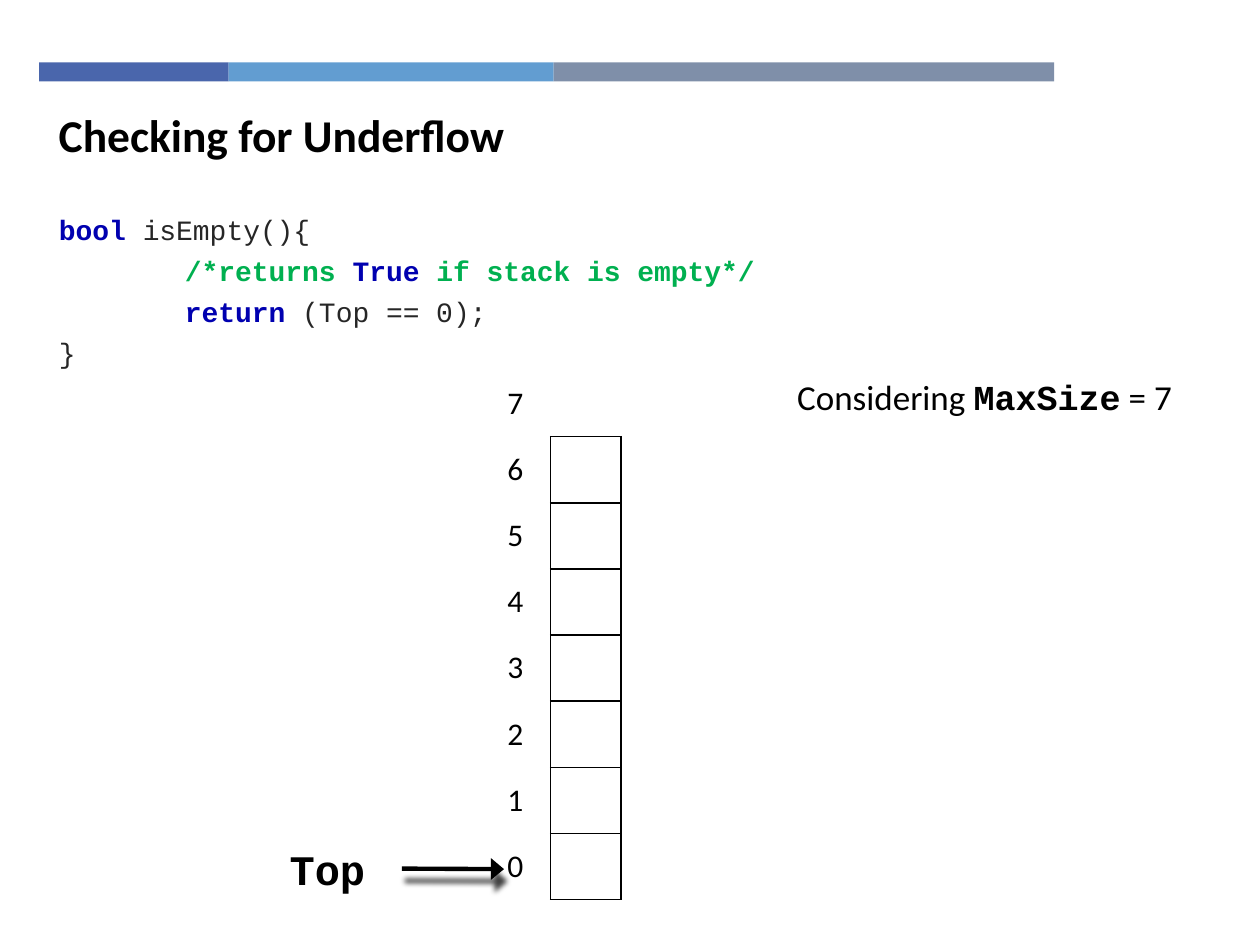
"""Build the stack underflow slide."""
from lxml import etree
from pptx import Presentation
from pptx.dml.color import RGBColor
from pptx.enum.shapes import MSO_CONNECTOR, MSO_SHAPE
from pptx.enum.text import MSO_ANCHOR, PP_ALIGN
from pptx.oxml import parse_xml
from pptx.oxml.ns import nsdecls
from pptx.util import Cm, Pt

BLACK, KEYWORD, COMMENT, CODE = "000000", "0000B0", "00B050", "262626"


def color(hex_code):
    return RGBColor.from_string(hex_code)


def add_run(paragraph, text, size, font="Calibri", hex_code=BLACK, bold=False):
    run = paragraph.add_run()
    run.text = text
    run.font.size = Pt(size)
    run.font.name = font
    run.font.bold = bold
    run.font.color.rgb = color(hex_code)


prs = Presentation()
prs.slide_width, prs.slide_height = Cm(25.4), Cm(19.05)
slide = prs.slides.add_slide(prs.slide_layouts[5])
shapes = slide.shapes

bar_left = 0.79
for width, fill in [(3.82, "4A66AC"), (6.55, "629DD1"), (10.09, "7F8FA9")]:
    bar = shapes.add_shape(MSO_SHAPE.RECTANGLE, Cm(bar_left), Cm(1.26), Cm(width), Cm(0.38))
    bar.shadow.inherit = False
    bar.fill.solid()
    bar.fill.fore_color.rgb = color(fill)
    bar.line.fill.background()
    bar_left += width

title = shapes.title
title.left, title.top, title.width, title.height = Cm(0.93), Cm(2.01), Cm(18.19), Cm(1.4)
title.text_frame.vertical_anchor = MSO_ANCHOR.MIDDLE
heading = title.text_frame.paragraphs[0]
heading.alignment = PP_ALIGN.LEFT
add_run(heading, "Checking for Underflow", 26, bold=True)

code_lines = [
    [("bool ", KEYWORD, True), ("isEmpty(){", CODE, False)],
    [("\t/*returns ", COMMENT, True), ("True ", KEYWORD, True),
     ("if stack is empty*/", COMMENT, True)],
    [("\treturn", KEYWORD, True), (" (Top == 0);", CODE, False)],
    [("}", CODE, False)],
]
code_box = shapes.add_textbox(Cm(0.94), Cm(4.29), Cm(16.74), Cm(4.24)).text_frame
code_box.word_wrap = True
for number, parts in enumerate(code_lines):
    line = code_box.add_paragraph() if number else code_box.paragraphs[0]
    line.alignment = PP_ALIGN.JUSTIFY
    line.line_spacing = 0.8
    line.space_before = line.space_after = Pt(4)
    line._p.get_or_add_pPr().append(
        parse_xml(f'<a:tabLst {nsdecls("a")}><a:tab pos="{Cm(2.54)}" algn="l"/></a:tabLst>'))
    for text, hex_code, bold in parts:
        add_run(line, text, 16, "Courier New", hex_code, bold)

row_count, table_height, column_width = 8, Cm(10.67), Cm(1.42)
frame = shapes.add_table(row_count, 2, Cm(9.68), Cm(7.47), 2 * column_width, table_height)
stack = frame.table
stack.first_row = stack.horz_banding = False
for column in stack.columns:
    column.width = column_width
for row_index, row in enumerate(stack.rows):
    row.height = table_height // row_count
    for column_index, cell in enumerate(row.cells):
        cell.vertical_anchor = MSO_ANCHOR.MIDDLE
        is_slot = column_index == 1 and row_index > 0
        edges = {"L": is_slot, "R": is_slot or (column_index == 0 and row_index > 0),
                 "T": is_slot, "B": column_index == 1}
        for edge, visible in edges.items():
            paint = f'<a:solidFill><a:srgbClr val="{BLACK}"/></a:solidFill>' if visible else "<a:noFill/>"
            cell._tc.get_or_add_tcPr().append(
                parse_xml(f'<a:ln{edge} {nsdecls("a")} w="12700">{paint}</a:ln{edge}>'))
        cell.fill.background()
        if column_index == 0:
            label = cell.text_frame.paragraphs[0]
            label.alignment = PP_ALIGN.CENTER
            add_run(label, str(row_count - 1 - row_index), 18)

top_label = shapes.add_shape(MSO_SHAPE.RECTANGLE, Cm(5.1), Cm(16.97), Cm(3), Cm(1.09))
top_label.shadow.inherit = False
top_label.fill.solid()
top_label.fill.fore_color.rgb = color("FFFFFF")
top_label.line.fill.background()
top_label.text_frame.vertical_anchor = MSO_ANCHOR.MIDDLE
top_text = top_label.text_frame.paragraphs[0]
top_text.alignment = PP_ALIGN.CENTER
add_run(top_text, "Top", 24, "Courier New", bold=True)

arrow = shapes.add_connector(MSO_CONNECTOR.STRAIGHT, Cm(8.1), Cm(17.51), Cm(10.16), Cm(17.52))
arrow.line.color.rgb = color(BLACK)
arrow.line.width = Pt(2.5)
etree.SubElement(arrow.line._get_or_add_ln(),
                 "{http://schemas.openxmlformats.org/drawingml/2006/main}tailEnd",
                 type="triangle", w="lg", len="med")
arrow._element.spPr.append(parse_xml(
    f'<a:effectLst {nsdecls("a")}><a:outerShdw blurRad="38100" dist="88900" dir="4560000">'
    f'<a:srgbClr val="{BLACK}"><a:alpha val="75000"/></a:srgbClr></a:outerShdw></a:effectLst>'))

note_box = shapes.add_textbox(Cm(15.82), Cm(7.44), Cm(9.02), Cm(1.12)).text_frame
note_box.word_wrap = True
note = note_box.paragraphs[0]
add_run(note, "Considering ", 20)
add_run(note, "MaxSize", 20, "Courier New", bold=True)
add_run(note, " = 7", 20)

prs.save("out.pptx")
